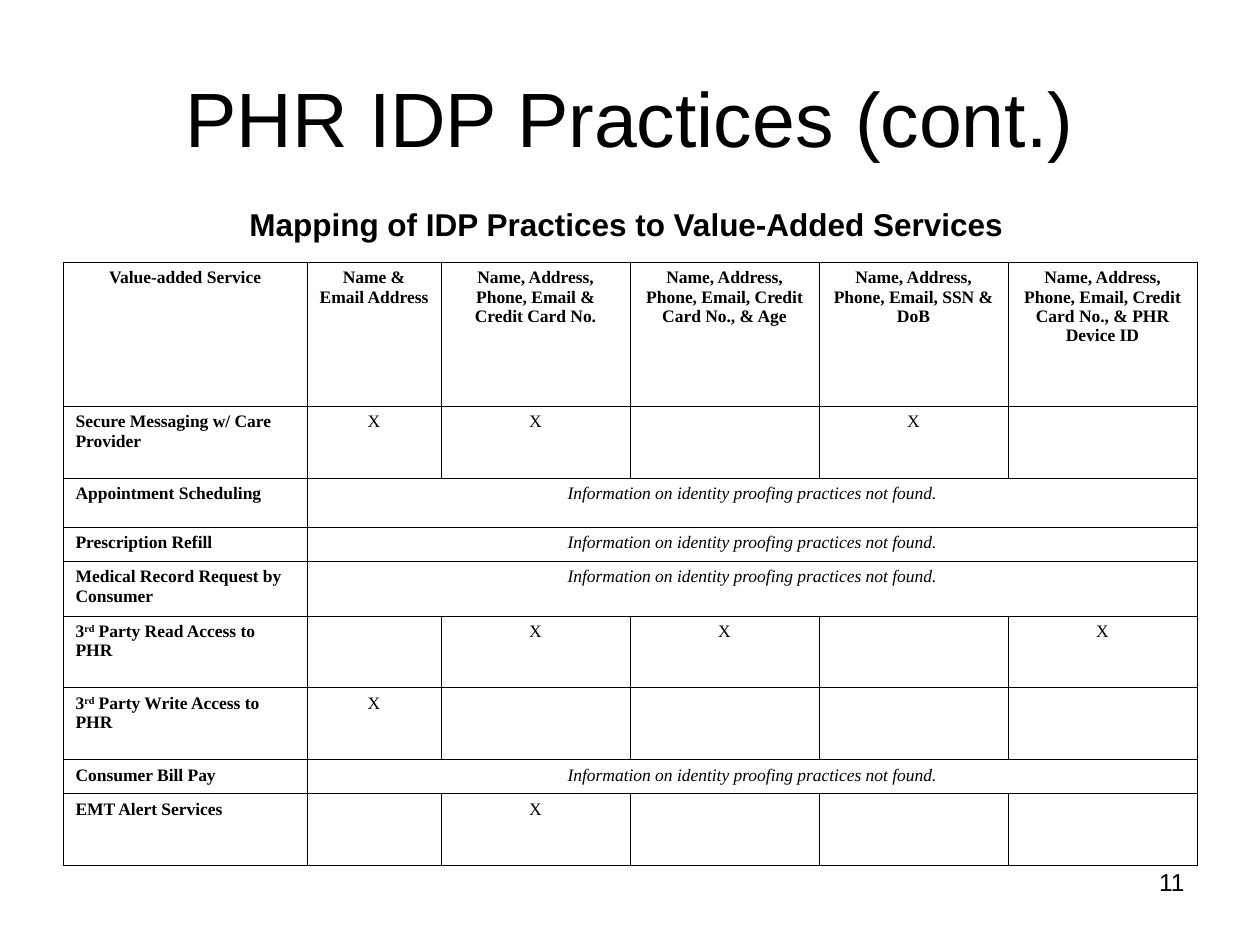
from dataclasses import dataclass

from lxml.etree import SubElement
from pptx import Presentation
from pptx.dml.color import RGBColor
from pptx.enum.text import MSO_ANCHOR, PP_ALIGN
from pptx.oxml.ns import qn
from pptx.util import Emu, Pt

EMU_PER_PX = 914400 / 126


@dataclass(frozen=True)
class Theme:
    ink: str = "000000"
    sans: str = "Arial"
    serif: str = "Times New Roman"
    title_size: int = 44
    subtitle_size: int = 18
    number_size: int = 14
    table_size: int = 10
    border_width: float = 0.45


THEME = Theme()

COLUMN_WIDTHS = [244, 134] + [189] * 4
HEADERS = [
    "Value-added Service",
    "Name & Email Address",
    "Name, Address, Phone, Email & Credit Card No.",
    "Name, Address, Phone, Email, Credit Card No., & Age",
    "Name, Address, Phone, Email, SSN & DoB",
    "Name, Address, Phone, Email, Credit Card No., & PHR Device ID",
]
HEADER_HEIGHT = 144
NOT_FOUND = "Information on identity proofing practices not found."
# Service name split at its superscript, row height, columns marked X (None: not found)
SERVICES = [
    (["Secure Messaging w/ Care Provider"], 72, [1, 2, 4]),
    (["Appointment Scheduling"], 49, None),
    (["Prescription Refill"], 34, None),
    (["Medical Record Request by Consumer"], 55, None),
    (["3", "rd", " Party Read Access to PHR"], 72, [2, 3, 5]),
    (["3", "rd", " Party Write Access to PHR"], 72, [1]),
    (["Consumer Bill Pay"], 34, None),
    (["EMT Alert Services"], 72, [2]),
]


def px(length):
    return Emu(round(length * EMU_PER_PX))


def write(paragraph, parts, alignment, **font_format):
    """Add the parts as runs; every second part is a superscript."""
    paragraph.alignment = alignment
    for index, part in enumerate(parts):
        run = paragraph.add_run()
        run.text = part
        for name, value in font_format.items():
            setattr(run.font, name, value)
        run.font.color.rgb = RGBColor.from_string(THEME.ink)
        if index % 2:
            run.font._element.set("baseline", "30000")


def add_text(slide, text, box, size, alignment, anchor=MSO_ANCHOR.TOP, wrap=True, bold=False):
    frame = slide.shapes.add_textbox(*map(px, box)).text_frame
    frame.word_wrap = wrap
    frame.vertical_anchor = anchor
    write(frame.paragraphs[0], [text], alignment,
          name=THEME.sans, size=Pt(size), bold=bold)


def outline_cell(cell):
    properties = cell._tc.get_or_add_tcPr()
    for side in ("lnL", "lnR", "lnT", "lnB"):
        line = SubElement(properties, qn(f"a:{side}"), w=str(Pt(THEME.border_width)))
        fill = SubElement(line, qn("a:solidFill"))
        SubElement(fill, qn("a:srgbClr"), val=THEME.ink)
    cell.fill.background()


def write_cell(cell, parts, alignment=PP_ALIGN.CENTER, bold=False, italic=False):
    write(cell.text_frame.paragraphs[0], parts, alignment,
          name=THEME.serif, size=Pt(THEME.table_size), bold=bold, italic=italic)


def add_services_table(slide, left, top):
    heights = [HEADER_HEIGHT] + [height for _, height, _ in SERVICES]
    table = slide.shapes.add_table(
        len(heights), len(COLUMN_WIDTHS), px(left), px(top),
        px(sum(COLUMN_WIDTHS)), px(sum(heights))).table
    table.first_row = table.horz_banding = False
    for column, width in zip(table.columns, COLUMN_WIDTHS):
        column.width = px(width)
    for row, height in zip(table.rows, heights):
        row.height = px(height)
    for cell in table.iter_cells():
        outline_cell(cell)

    for column, header in enumerate(HEADERS):
        write_cell(table.cell(0, column), [header], bold=True)
    for row, (service, _, marked) in enumerate(SERVICES, start=1):
        write_cell(table.cell(row, 0), service, PP_ALIGN.LEFT, bold=True)
        if marked is None:
            first = table.cell(row, 1)
            first.merge(table.cell(row, len(HEADERS) - 1))
            write_cell(first, [NOT_FOUND], italic=True)
        else:
            for column in marked:
                write_cell(table.cell(row, column), ["X"])


def main():
    presentation = Presentation()
    presentation.slide_width, presentation.slide_height = px(1260), px(945)
    slide = presentation.slides.add_slide(presentation.slide_layouts[6])
    add_text(slide, "PHR IDP Practices (cont.)", (63, 38, 1134, 157),
             THEME.title_size, PP_ALIGN.CENTER, anchor=MSO_ANCHOR.MIDDLE)
    add_services_table(slide, 63, 262)
    add_text(slide, "Mapping of IDP Practices to Value-Added Services", (236, 199, 781, 51),
             THEME.subtitle_size, PP_ALIGN.CENTER, wrap=False, bold=True)
    add_text(slide, "11", (903, 861, 294, 66), THEME.number_size, PP_ALIGN.RIGHT)
    presentation.save("out.pptx")


if __name__ == "__main__":
    main()
